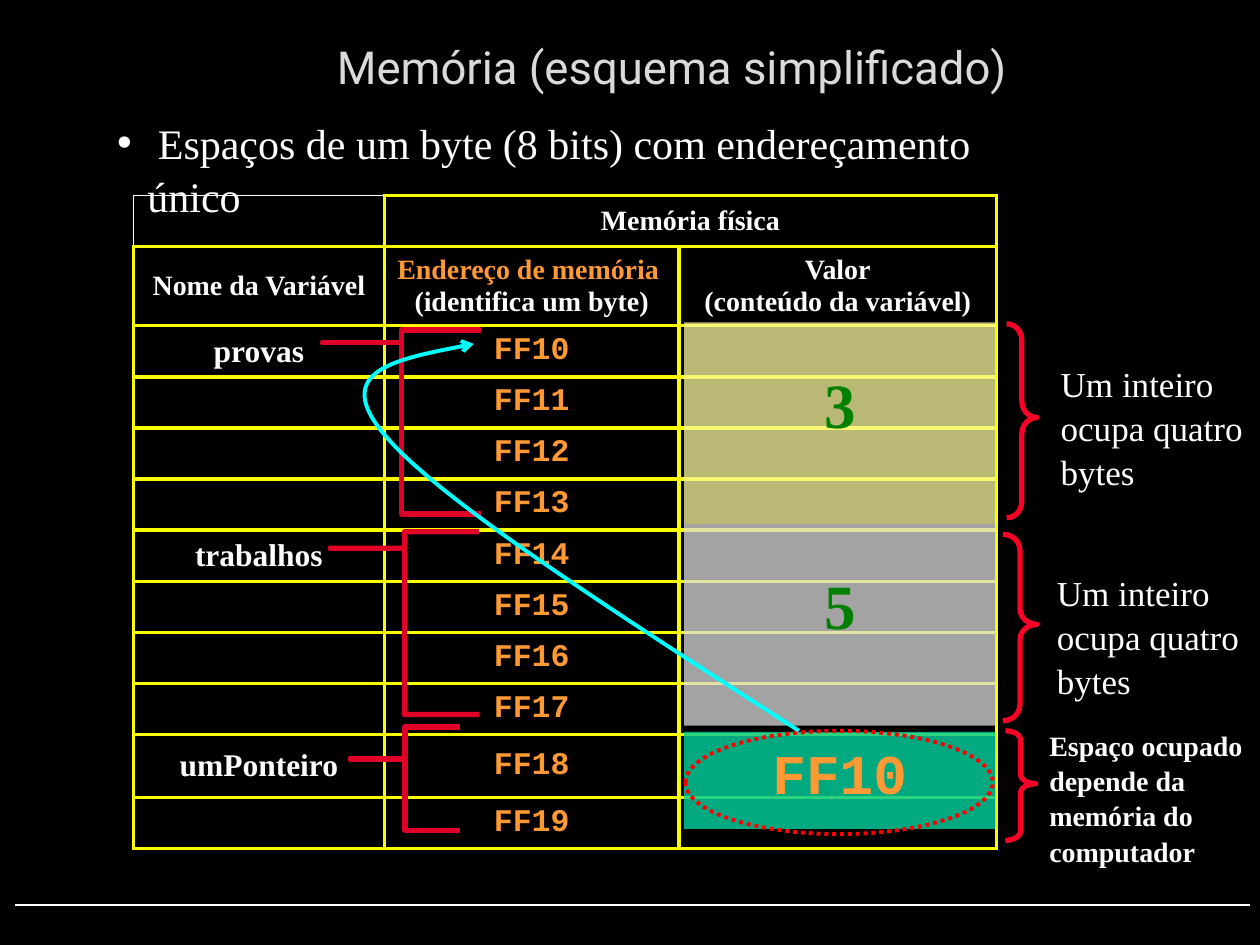
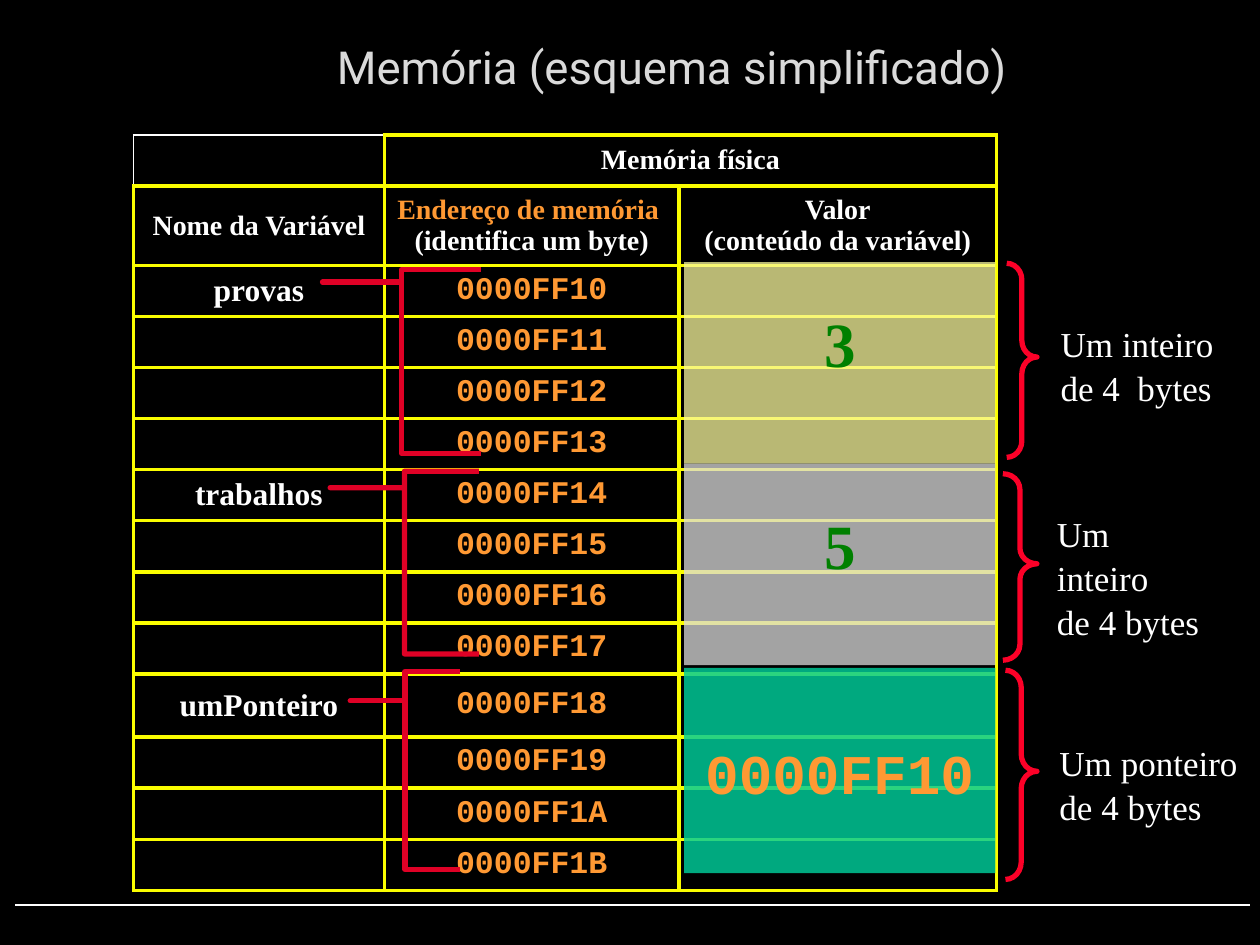
from dataclasses import dataclass, replace
from typing import NamedTuple

from lxml.etree import SubElement
from pptx import Presentation
from pptx.dml.color import RGBColor
from pptx.enum.dml import MSO_LINE
from pptx.enum.shapes import MSO_CONNECTOR, MSO_SHAPE
from pptx.enum.text import MSO_ANCHOR, PP_ALIGN
from pptx.oxml.ns import qn
from pptx.shapes.autoshape import Shape
from pptx.slide import Slide
from pptx.util import Inches, Pt


class TextStyle(NamedTuple):
    font: str
    size: float
    color: RGBColor
    bold: bool = False


class Box(NamedTuple):
    left: float
    top: float
    width: float
    height: float

    def lowered(self, distance: float) -> "Box":
        return self._replace(top=self.top + distance)

    def lengths(self) -> list:
        return [Inches(number) for number in self]


@dataclass(frozen=True)
class Theme:
    background: RGBColor = RGBColor(0, 0, 0)
    white: RGBColor = RGBColor(0xFF, 0xFF, 0xFF)
    grid: RGBColor = RGBColor(0xFA, 0xFD, 0x00)
    orange: RGBColor = RGBColor(0xFF, 0x99, 0x33)
    bracket: RGBColor = RGBColor(0xDF, 0x01, 0x26)
    brace: RGBColor = RGBColor(0xFC, 0x01, 0x28)
    ellipse: RGBColor = RGBColor(0xFF, 0, 0)
    arrow: RGBColor = RGBColor(0, 0xFF, 0xFF)
    first_fill: RGBColor = RGBColor(0xF8, 0xF6, 0x9C)
    second_fill: RGBColor = RGBColor(0xDA, 0xDA, 0xDA)
    pointer_fill: RGBColor = RGBColor(0, 0xCC, 0x99)
    title: TextStyle = TextStyle("Roboto", 26, RGBColor(0xDA, 0xDA, 0xDA))
    bullet: TextStyle = TextStyle("Times New Roman", 24, white)
    header: TextStyle = TextStyle("Times New Roman", 16, white, True)
    name: TextStyle = TextStyle("Times New Roman", 18, white, True)
    address: TextStyle = TextStyle("Courier New", 18, orange, True)
    note: TextStyle = TextStyle("Times New Roman", 20, white)
    number: TextStyle = TextStyle("Times New Roman", 36, RGBColor(0, 0x80, 0), True)
    pointer: TextStyle = TextStyle("Courier New", 32, orange, True)
    thin: float = 1
    medium: float = 2.25
    thick: float = 3
    note_spacing: float = 1.05


THEME = Theme()
COLUMN_WIDTHS = (1.99, 2.34, 2.52)
TABLE_LEFT = 1.06
HEADER_HEIGHTS = [0.37, 0.63]
ROW_HEIGHT = 0.4
FIRST_ADDRESS = 0xFF10


@dataclass(frozen=True)
class Variable:
    """A variable in memory; its boxes are measured from the top of the table."""
    name: str
    value: str
    byte_count: int
    fill: RGBColor
    value_box: Box
    bracket: Box
    bracket_point: float
    brace: Box
    brace_curve: float
    note: tuple
    note_box: Box
    opacity: int = 75
    value_style: TextStyle = THEME.number
    value_margin: float = 0.34
    note_style: TextStyle = THEME.note
    first_row_height: float = ROW_HEIGHT


FOUR_BYTES = ("Um inteiro", "ocupa quatro", "bytes")
PROVAS = Variable(
    "provas", "3", 4, THEME.first_fill, Box(5.43, 1.01, 2.47, 1.6),
    Box(2.56, 1.07, 1.26, 1.46), 0.068, Box(7.99, 1.02, 0.24, 1.54), 0.545,
    FOUR_BYTES, Box(8.32, 1.26, 1.67, 1.1))
TRABALHOS = Variable(
    "trabalhos", "5", 4, THEME.second_fill, Box(5.43, 2.61, 2.47, 1.6),
    Box(2.62, 2.67, 1.18, 1.45), 0.09, Box(7.96, 2.69, 0.27, 1.48), 0.462,
    FOUR_BYTES, Box(8.29, 2.92, 1.67, 1.1))
SHORT_POINTER = Variable(
    "umPonteiro", "FF10", 2, THEME.pointer_fill, Box(5.43, 4.26, 2.47, 0.77),
    Box(2.78, 4.22, 0.87, 0.82), 0.309, Box(7.98, 4.25, 0.24, 0.87), 0.306,
    ("Espaço ocupado", "depende da", "memória do", "computador"),
    Box(8.23, 4.17, 1.77, 1.17), 83, THEME.pointer, 0.05, THEME.header, 0.5)
LONG_POINTER = replace(
    SHORT_POINTER, value="0000FF10", byte_count=4, value_margin=0.56,
    value_box=Box(5.43, 4.23, 2.47, 1.63), bracket=Box(2.78, 4.26, 0.87, 1.57),
    bracket_point=0.148, brace=Box(7.98, 4.25, 0.25, 1.66), brace_curve=0.548,
    note=("Um ponteiro", "de 4 bytes"), note_box=Box(8.31, 4.75, 1.69, 0.77),
    note_style=THEME.note)


def write_lines(text_frame, lines, style: TextStyle, alignment=PP_ALIGN.CENTER,
                spacing: float = 1) -> None:
    text_frame.text = "\n".join(lines)
    for paragraph in text_frame.paragraphs:
        paragraph.alignment = alignment
        paragraph.line_spacing = spacing
        paragraph.space_before = Pt(0)
        for run in paragraph.runs:
            run.font.name = style.font
            run.font.size = Pt(style.size)
            run.font.bold = style.bold
            run.font.color.rgb = style.color


def set_line(shape, color: RGBColor, width: float) -> None:
    shape.line.color.rgb = color
    shape.line.width = Pt(width)


def draw_outline(slide: Slide, kind: MSO_SHAPE, box: Box, color: RGBColor,
                 width: float, adjustments=()) -> Shape:
    shape = slide.shapes.add_shape(kind, *box.lengths())
    shape.shadow.inherit = False
    shape.fill.background()
    set_line(shape, color, width)
    for index, adjustment in enumerate(adjustments):
        shape.adjustments[index] = adjustment
    return shape


def add_memory_slide(presentation, layout_index: int) -> Slide:
    slide = presentation.slides.add_slide(presentation.slide_layouts[layout_index])
    title = slide.shapes.title
    title.left, title.top, title.width, title.height = Box(0.75, 0.13, 9.17, 0.79).lengths()
    title.text_frame.vertical_anchor = MSO_ANCHOR.MIDDLE
    write_lines(title.text_frame, ["Memória (esquema simplificado)"], THEME.title)
    return slide


def fill_bullet(slide: Slide, text: str) -> None:
    body = slide.placeholders[1]
    body.left, body.top, body.width, body.height = Box(0.83, 0.86, 7.67, 0.9).lengths()
    write_lines(body.text_frame, [text], THEME.bullet, PP_ALIGN.LEFT, THEME.note_spacing)
    properties = body.text_frame.paragraphs[0]._p.get_or_add_pPr()
    properties.set("marL", str(Inches(0.24)))
    properties.set("indent", str(Inches(-0.24)))
    SubElement(properties, qn("a:buChar"), char="•")


def set_borders(cell, sides) -> None:
    properties = cell._tc.get_or_add_tcPr()
    for position, side in enumerate(("L", "R", "T", "B")):
        if side not in sides:
            continue
        line = properties.makeelement(qn(f"a:ln{side}"), {"w": str(Pt(THEME.medium))})
        properties.insert(position if len(sides) == 4 else sides.index(side), line)
        SubElement(SubElement(line, qn("a:solidFill")), qn("a:srgbClr"), val=str(THEME.grid))


def draw_memory_table(slide: Slide, top: float, variables, digits: int) -> None:
    heights = list(HEADER_HEIGHTS)
    names = []
    for variable in variables:
        heights += [variable.first_row_height] + [ROW_HEIGHT] * (variable.byte_count - 1)
        names += [variable.name] + [""] * (variable.byte_count - 1)
    box = Box(TABLE_LEFT, top, sum(COLUMN_WIDTHS), sum(heights))
    table = slide.shapes.add_table(len(heights), len(COLUMN_WIDTHS), *box.lengths()).table
    table.first_row = table.horz_banding = False
    for column, width in zip(table.columns, COLUMN_WIDTHS):
        column.width = Inches(width)
    for row, height in zip(table.rows, heights):
        row.height = Inches(height)
    table.cell(0, 1).merge(table.cell(0, 2))
    for cell_index, cell in enumerate(table.iter_cells()):
        cell.fill.background()
        cell.vertical_anchor = MSO_ANCHOR.MIDDLE
        set_borders(cell, "LRTB" if cell_index else "RB")

    headers = {
        (0, 1): ["Memória física"],
        (1, 0): ["Nome da Variável"],
        (1, 1): ["Endereço de memória ", "(identifica um byte)"],
        (1, 2): ["Valor", "(conteúdo da variável)"],
    }
    for position, lines in headers.items():
        write_lines(table.cell(*position).text_frame, lines, THEME.header)
    address_header = table.cell(1, 1).text_frame.paragraphs[0]
    address_header.runs[0].font.color.rgb = THEME.orange
    for offset, name in enumerate(names):
        row_index = len(HEADER_HEIGHTS) + offset
        if name:
            write_lines(table.cell(row_index, 0).text_frame, [name], THEME.name)
        address = f"{FIRST_ADDRESS + offset:0{digits}X}"
        write_lines(table.cell(row_index, 1).text_frame, [address], THEME.address)


def draw_variable(slide: Slide, variable: Variable, table_top: float) -> None:
    """Draw the value block, the bracket, the brace and the note of a variable."""
    value = slide.shapes.add_shape(
        MSO_SHAPE.RECTANGLE, *variable.value_box.lowered(table_top).lengths())
    value.shadow.inherit = False
    value.line.fill.background()
    value.fill.solid()
    value.fill.fore_color.rgb = variable.fill
    color = value.element.spPr.find(qn("a:solidFill"))[0]
    SubElement(color, qn("a:alpha"), val=str(variable.opacity * 1000))
    value.text_frame.vertical_anchor = MSO_ANCHOR.TOP
    value.text_frame.margin_top = Inches(variable.value_margin)
    write_lines(value.text_frame, [variable.value], variable.value_style)

    draw_outline(slide, MSO_SHAPE.LEFT_BRACE, variable.bracket.lowered(table_top),
                 THEME.bracket, THEME.thick, (0, variable.bracket_point))
    draw_outline(slide, MSO_SHAPE.RIGHT_BRACE, variable.brace.lowered(table_top),
                 THEME.brace, THEME.thick, (variable.brace_curve, 0.483))
    note = slide.shapes.add_textbox(*variable.note_box.lowered(table_top).lengths())
    note.text_frame.word_wrap = True
    write_lines(note.text_frame, variable.note, variable.note_style, PP_ALIGN.LEFT,
                THEME.note_spacing)


def draw_memory(slide: Slide, table_top: float, variables, digits: int) -> None:
    draw_memory_table(slide, table_top, variables, digits)
    for variable in variables:
        draw_variable(slide, variable, table_top)


def draw_pointer_arrow(slide: Slide) -> None:
    """Draw two Bézier curves from the pointer's value to the address it holds."""
    start, *points = [(Inches(x), Inches(y)) for x, y in (
        (6.34, 5.8), (4.91, 4.88), (3.49, 3.97), (3.06, 3.46),
        (2.62, 2.95), (3.19, 2.84), (3.76, 2.73))]
    builder = slide.shapes.build_freeform(*start)
    builder.add_line_segments(points, close=False)
    arrow = builder.convert_to_shape()
    arrow.shadow.inherit = False
    arrow.fill.background()
    set_line(arrow, THEME.arrow, THEME.medium)
    SubElement(arrow.line._get_or_add_ln(), qn("a:tailEnd"), type="arrow")
    outline = next(arrow.element.iter(qn("a:path")))
    segments = outline.findall(qn("a:lnTo"))
    for first in range(0, len(segments), 3):
        curve = SubElement(outline, qn("a:cubicBezTo"))
        for segment in segments[first:first + 3]:
            curve.append(segment[0])
            outline.remove(segment)


def add_footer_line(presentation, slide: Slide) -> None:
    """Draw the footer line and move it to the master, so all slides show it."""
    line = slide.shapes.add_connector(
        MSO_CONNECTOR.STRAIGHT, Inches(0.12), Inches(7.18), Inches(9.92), Inches(7.18))
    set_line(line, THEME.white, THEME.thin)
    SubElement(line.element.spPr, qn("a:effectLst"))
    line.element.nvCxnSpPr.cNvPr.id = 20
    presentation.slide_master.shapes.element.append(line.element)


def main() -> None:
    presentation = Presentation()
    presentation.slide_width, presentation.slide_height = Inches(10), Inches(7.5)
    background = presentation.slide_master.background.fill
    background.solid()
    background.fore_color.rgb = THEME.background

    short_slide = add_memory_slide(presentation, 1)
    add_footer_line(presentation, short_slide)
    fill_bullet(short_slide, " Espaços de um byte (8 bits) com endereçamento único")
    draw_memory(short_slide, 1.55, (PROVAS, TRABALHOS, SHORT_POINTER), 4)
    ellipse = draw_outline(short_slide, MSO_SHAPE.OVAL, Box(5.44, 5.8, 2.44, 0.82),
                           THEME.ellipse, THEME.medium)
    ellipse.line.dash_style = MSO_LINE.ROUND_DOT
    draw_pointer_arrow(short_slide)

    long_slide = add_memory_slide(presentation, 5)
    provas = replace(PROVAS, note=("Um inteiro", "de 4  bytes"),
                     note_box=Box(8.32, 1.42, 1.5, 0.77))
    trabalhos = replace(TRABALHOS, note=("Um inteiro", "de 4 bytes"),
                        note_box=Box(8.29, 2.93, 1.39, 0.77))
    draw_memory(long_slide, 1.07, (provas, trabalhos, LONG_POINTER), 8)
    presentation.save("out.pptx")


if __name__ == "__main__":
    main()
